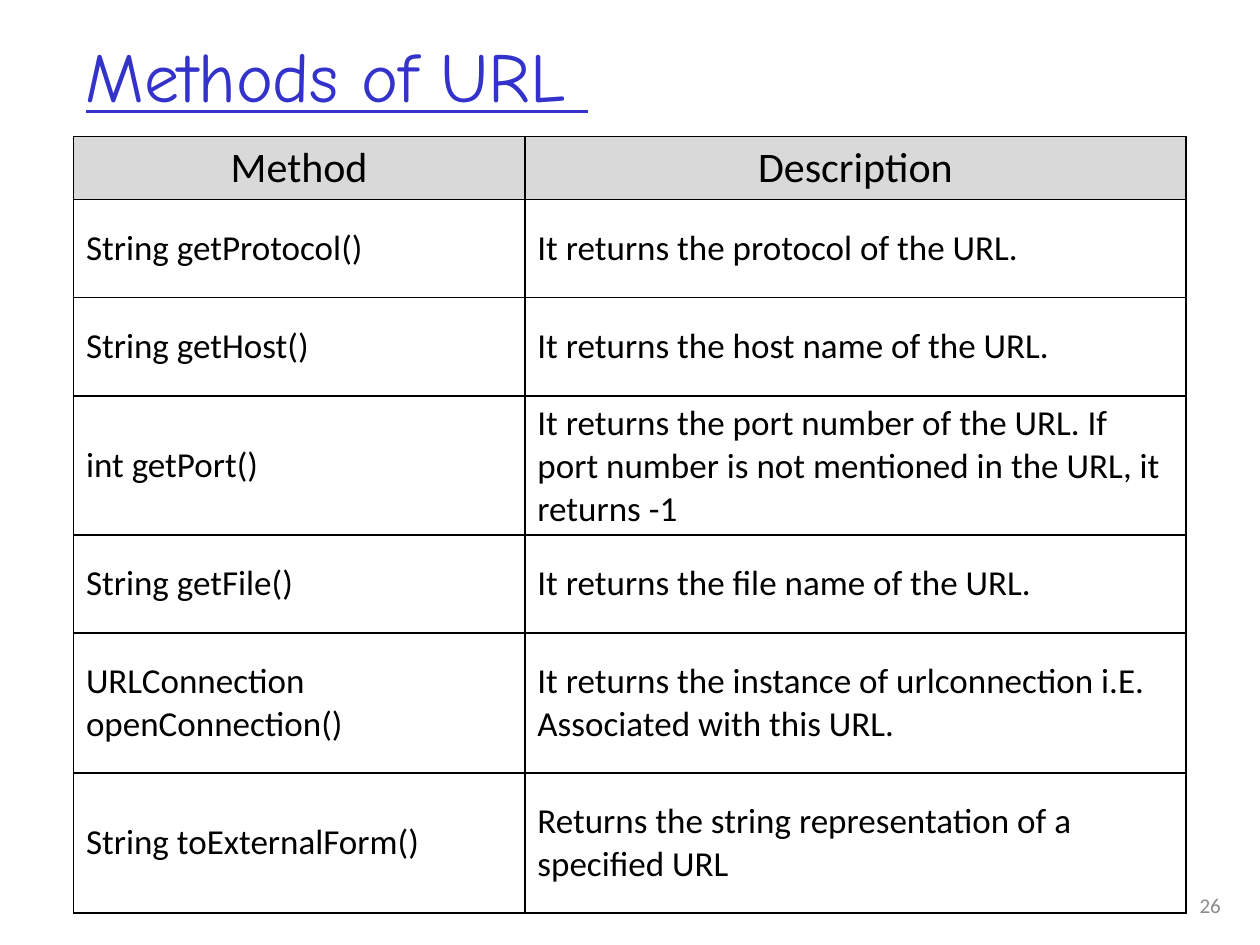
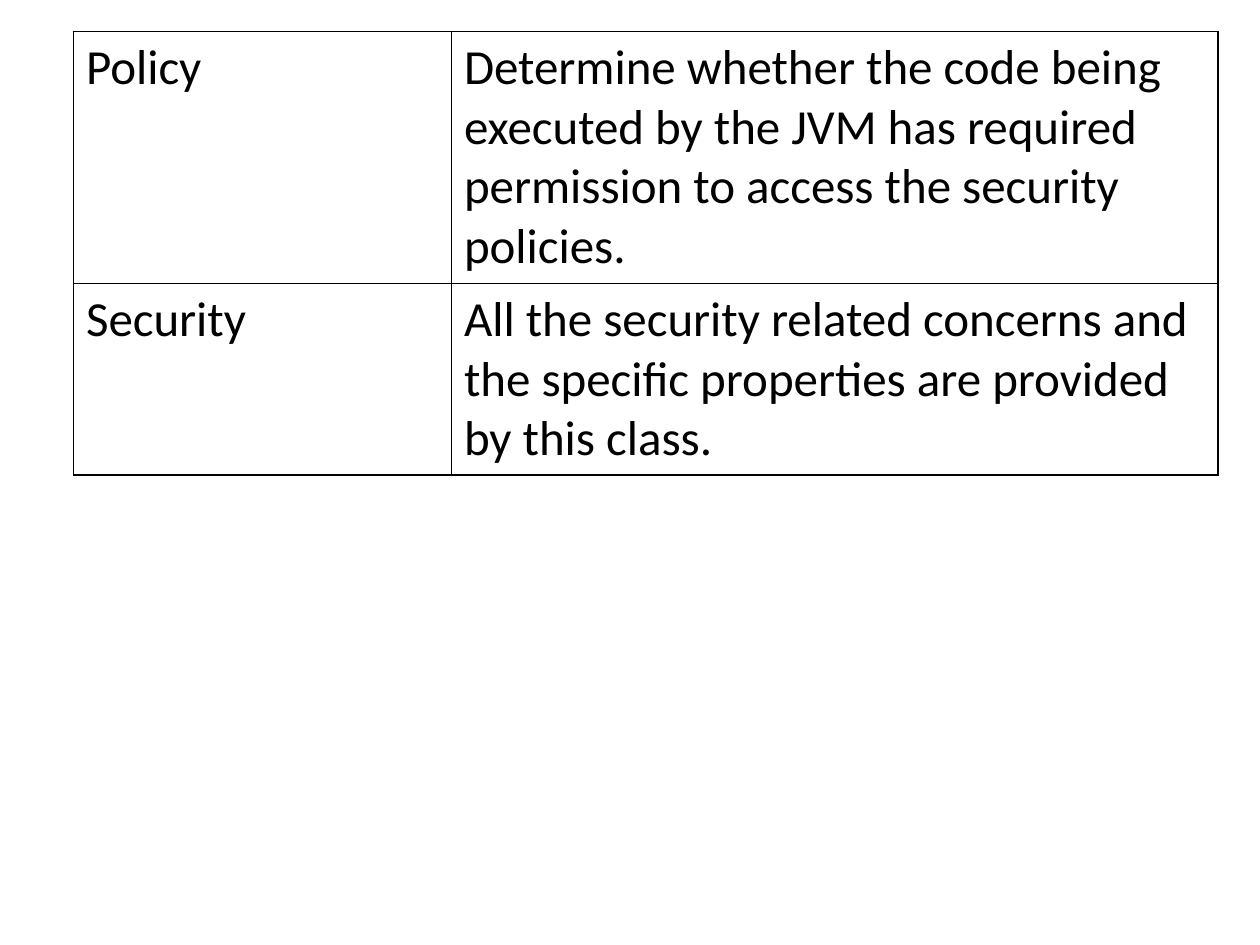
from lxml import etree
from pptx import Presentation
from pptx.dml.color import RGBColor
from pptx.enum.text import MSO_ANCHOR, PP_ALIGN
from pptx.oxml.ns import qn
from pptx.util import Cm, Pt

BODY_FONT, TITLE_FONT = "Calibri", "Comic Neue"
BLACK, TITLE_BLUE, HEADER_GREY, NUMBER_GREY = "000000", "3333CC", "D9D9D9", "8C8C8C"
TABLE_LEFT = 1.48


def color(hex_string):
    return RGBColor.from_string(hex_string)


def add_run(paragraph, text, size, font=BODY_FONT, ink=BLACK):
    run = paragraph.add_run()
    run.text = text
    run.font.size = Pt(size)
    run.font.name = font
    run.font.color.rgb = color(ink)
    return run


def add_line_box(slide, box):
    """Add a text box without margins; return its frame."""
    frame = slide.shapes.add_textbox(*map(Cm, box)).text_frame
    frame.word_wrap = True
    frame.margin_left = frame.margin_right = frame.margin_top = frame.margin_bottom = 0
    return frame


def add_title(slide, text, box):
    frame = add_line_box(slide, box)
    frame.margin_top = Cm(0.03)
    paragraph = frame.paragraphs[0]
    paragraph.space_before = Pt(0.9)
    # Hanging start of the title line
    paragraph._p.get_or_add_pPr().set("marL", str(Cm(0.03)))
    run = add_run(paragraph, text, 40, TITLE_FONT, TITLE_BLUE)
    run.font.underline = True
    run._r.get_or_add_rPr().set("spc", "-10")


def add_page_number(slide, number, box):
    frame = add_line_box(slide, box)
    frame.vertical_anchor = MSO_ANCHOR.MIDDLE
    paragraph = frame.paragraphs[0]
    paragraph.alignment = PP_ALIGN.RIGHT
    paragraph.line_spacing = Pt(16.3)
    add_run(paragraph, number, 12, ink=NUMBER_GREY)


def add_borders(cell):
    properties = cell._tc.get_or_add_tcPr()
    for position, side in enumerate(("lnL", "lnR", "lnT", "lnB")):
        line = etree.Element(qn(f"a:{side}"), w=str(Pt(1)))
        fill = etree.SubElement(line, qn("a:solidFill"))
        etree.SubElement(fill, qn("a:srgbClr"), val=BLACK)
        properties.insert(position, line)


def add_grid(slide, rows, left, top, widths, heights, size, anchor, header=False):
    """Draw a bordered table, with an optional grey centred header row."""
    frame = slide.shapes.add_table(len(rows), len(widths), Cm(left), Cm(top),
                                   Cm(sum(widths)), Cm(sum(heights)))
    table = frame.table
    table.first_row = header
    table.horz_banding = False
    for column, width in zip(table.columns, widths):
        column.width = Cm(width)
    for index, (texts, height) in enumerate(zip(rows, heights)):
        table.rows[index].height = Cm(height)
        is_header = header and index == 0
        for cell, text in zip(table.rows[index].cells, texts):
            cell.vertical_anchor = anchor
            paragraph = cell.text_frame.paragraphs[0]
            if is_header:
                cell.fill.solid()
                cell.fill.fore_color.rgb = color(HEADER_GREY)
                paragraph.alignment = PP_ALIGN.CENTER
            else:
                cell.fill.background()
            run = add_run(paragraph, text, 24 if is_header else size)
            run.font.bold = False
            add_borders(cell)


URL_METHODS = [
    ("Method", "Description"),
    ("String getProtocol()", "It returns the protocol of the URL."),
    ("String getHost()", "It returns the host name of the URL."),
    ("int getPort()", "It returns the port number of the URL. If port number is not "
                      "mentioned in the URL, it returns -1"),
    ("String getFile()", "It returns the file name of the URL."),
    ("URLConnection openConnection()", "It returns the instance of urlconnection i.E. "
                                       "Associated with this URL."),
    ("String toExternalForm()", "Returns the string representation of a specified URL"),
]
SECURITY_CLASSES = [
    ("Policy", "Determine whether the code being executed by the JVM has required "
               "permission to access the security policies."),
    ("Security", "All the security related concerns and the specific properties are "
                 "provided by this class."),
]


def build_methods_slide(slide):
    add_page_number(slide, "26", (23.98, 17.9, 0.63, 0.61))
    add_title(slide, "Methods of URL ", (1.7, 0.63, 17.35, 1.75))
    single, double = 1.98, 2.82
    heights = [1.25, single, single, 2.8, single, double, double]
    add_grid(slide, URL_METHODS, TABLE_LEFT, 2.75, (9.1, 13.33), heights, 20,
             MSO_ANCHOR.MIDDLE, header=True)


def build_classes_slide(slide):
    add_grid(slide, SECURITY_CLASSES, TABLE_LEFT, 0.63, (7.62, 15.45), (5.08, 3.87), 28,
             MSO_ANCHOR.TOP)


deck = Presentation()
deck.slide_width, deck.slide_height = Cm(25.4), Cm(19.05)
blank = deck.slide_layouts[6]
for build in (build_methods_slide, build_classes_slide):
    build(deck.slides.add_slide(blank))
deck.save("out.pptx")
